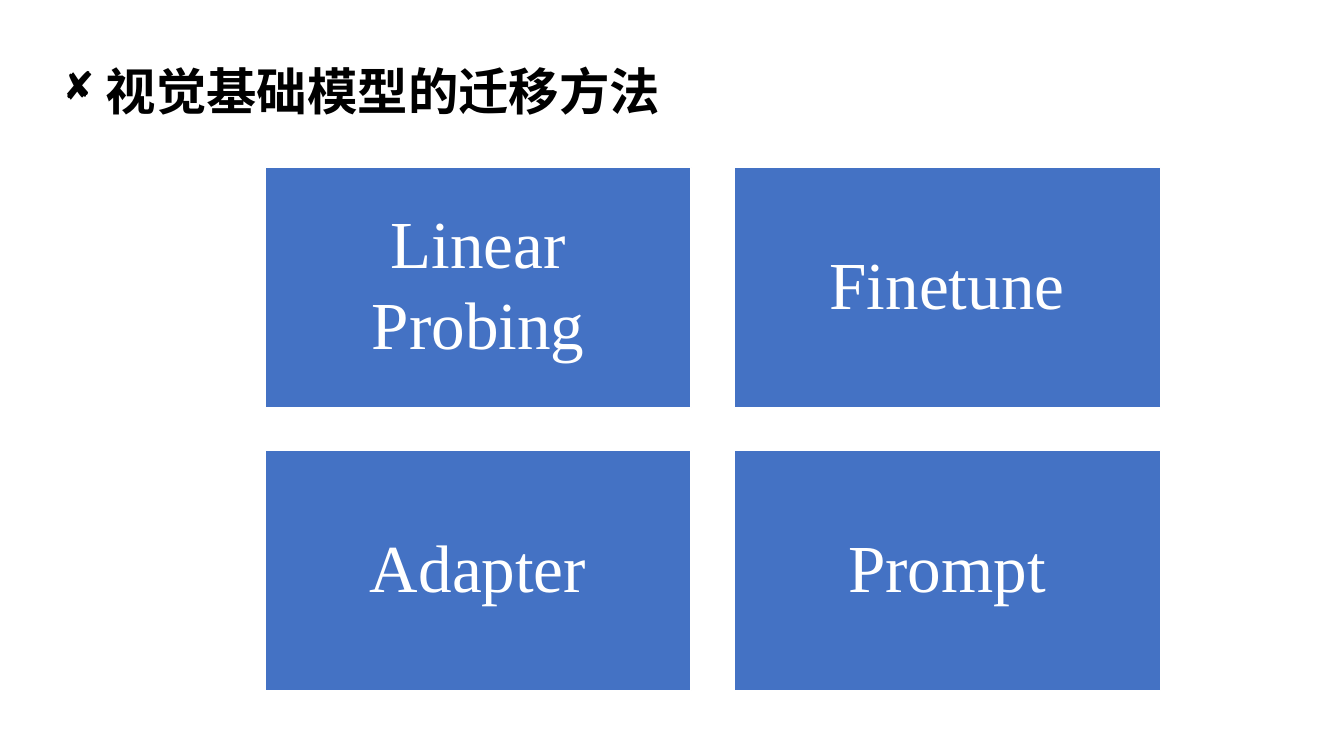
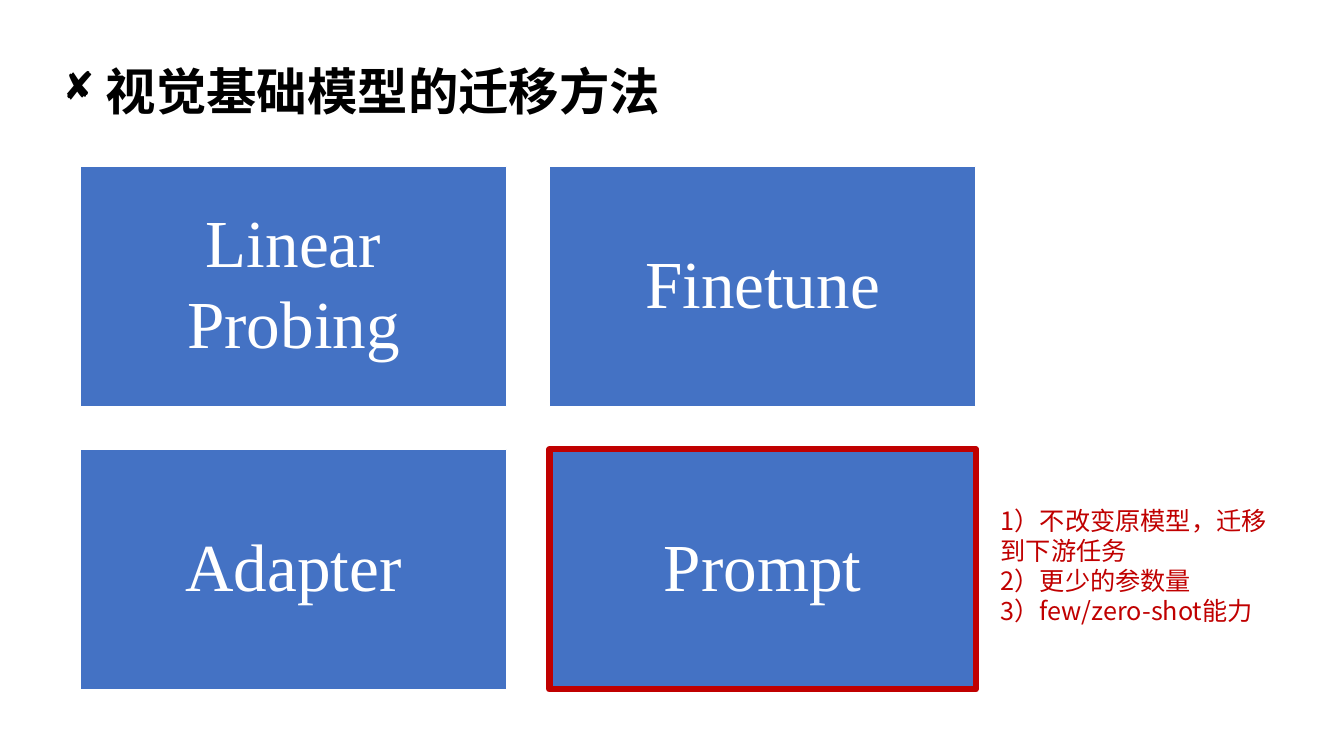
"""Build two slides on ways of transferring visual foundation models."""
from lxml.etree import SubElement
from pptx import Presentation
from pptx.dml.color import RGBColor
from pptx.enum.shapes import MSO_SHAPE
from pptx.enum.text import MSO_ANCHOR, MSO_AUTO_SIZE, PP_ALIGN
from pptx.oxml.ns import qn
from pptx.util import Cm, Pt

BLUE, RED, BLACK, WHITE = "4472C4", "C00000", "000000", "FFFFFF"
CHINESE_FONT, LATIN_FONT = "Noto Sans CJK SC", "Times New Roman"
TITLE = "视觉基础模型的迁移方法"
METHODS = ["Linear\nProbing", "Finetune", "Adapter", "Prompt"]
NOTES = ["1）不改变原模型，迁移到下游任务", "2）更少的参数量", "3）few/zero-shot能力"]
TILE_WIDTH, TILE_HEIGHT, GAP = 10.74, 6.05, 1.08
GRID_ORIGINS = [(6.68, 4.22), (2.03, 4.19)]


def color(value):
    return RGBColor.from_string(value)


def format_text(frame, size, name, value, bold=False):
    for para in frame.paragraphs:
        for span in para.runs:
            span.font.size = Pt(size)
            span.font.bold = bold
            span.font.color.rgb = color(value)
            span.font.name = name
            SubElement(span.font._element, qn("a:ea"), typeface=name)


deck = Presentation()
deck.slide_width, deck.slide_height = Cm(33.87), Cm(19.05)

for grid_left, grid_top in GRID_ORIGINS:
    page = deck.slides.add_slide(deck.slide_layouts[5])

    title = page.shapes.title
    title.left, title.top, title.width, title.height = Cm(1.32), Cm(1.57), Cm(30.78), Cm(2)
    frame = title.text_frame
    frame.text = TITLE
    frame.vertical_anchor = MSO_ANCHOR.TOP
    frame.auto_size = MSO_AUTO_SIZE.NONE
    para = frame.paragraphs[0]
    para.alignment = PP_ALIGN.LEFT
    para.line_spacing = 0.9
    properties = para._p.get_or_add_pPr()
    properties.set("marL", str(Cm(1.09)))
    properties.set("indent", str(-Cm(1.09)))
    SubElement(properties, qn("a:buFont"), typeface="Wingdings")
    SubElement(properties, qn("a:buChar"), char="◻")
    format_text(frame, 36, CHINESE_FONT, BLACK, bold=True)

    for index, method in enumerate(METHODS):
        row, column = divmod(index, 2)
        left = Cm(grid_left + column * (TILE_WIDTH + GAP))
        top = Cm(grid_top + row * (TILE_HEIGHT + GAP))
        tile = page.shapes.add_shape(
            MSO_SHAPE.RECTANGLE, left, top, Cm(TILE_WIDTH), Cm(TILE_HEIGHT))
        tile.shadow.inherit = False
        tile.fill.solid()
        tile.fill.fore_color.rgb = color(BLUE)
        tile.line.color.rgb = color(WHITE)
        tile.line.width = Pt(1)
        frame = tile.text_frame
        frame.text = method
        frame.word_wrap = True
        frame.vertical_anchor = MSO_ANCHOR.MIDDLE
        frame.margin_left = frame.margin_right = Cm(0.51)
        frame.margin_top = frame.margin_bottom = Cm(0.51)
        for para in frame.paragraphs:
            para.alignment = PP_ALIGN.CENTER
            para.line_spacing = 0.9
            para.space_after = Pt(6)
        format_text(frame, 48, LATIN_FONT, WHITE)

highlight = page.shapes.add_shape(
    MSO_SHAPE.RECTANGLE, tile.left, tile.top, tile.width, tile.height)
highlight.shadow.inherit = False
highlight.fill.background()
highlight.line.color.rgb = color(RED)
highlight.line.width = Pt(4.5)

box = page.shapes.add_textbox(Cm(24.97), Cm(12.6), Cm(7.57), Cm(3.33))
box.text_frame.word_wrap = True
box.text_frame.text = "\n".join(NOTES)
format_text(box.text_frame, 18, CHINESE_FONT, RED)

deck.save("out.pptx")
